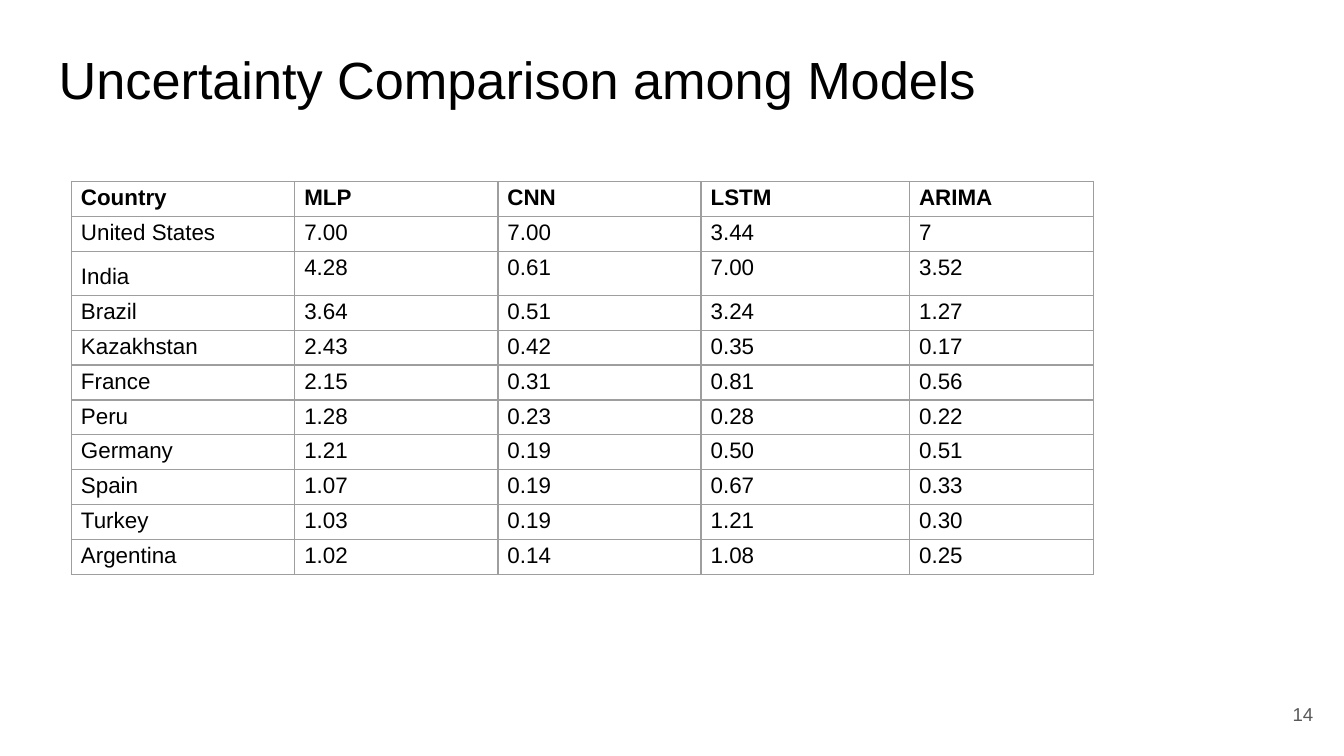
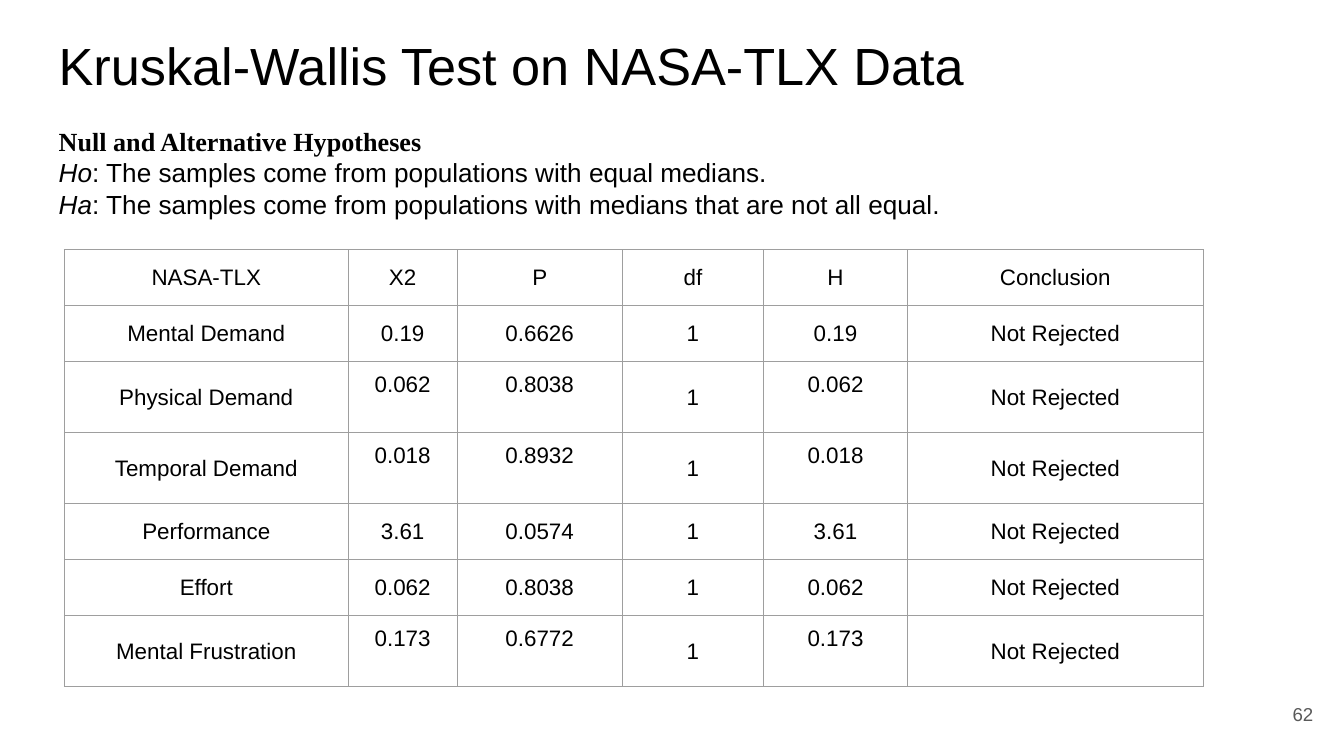
from lxml import etree
from pptx import Presentation
from pptx.dml.color import RGBColor
from pptx.enum.text import MSO_ANCHOR, MSO_AUTO_SIZE, PP_ALIGN
from pptx.oxml.ns import qn
from pptx.util import Cm, Pt

TOP, MIDDLE = MSO_ANCHOR.TOP, MSO_ANCHOR.MIDDLE
LEFT, CENTER, RIGHT = PP_ALIGN.LEFT, PP_ALIGN.CENTER, PP_ALIGN.RIGHT
NO_FIT = MSO_AUTO_SIZE.NONE

BLACK = RGBColor(0x00, 0x00, 0x00)
GREY = RGBColor(0x59, 0x59, 0x59)
BORDER = RGBColor(0x9E, 0x9E, 0x9E)

TITLE = {"name": "Arial", "size": Pt(28), "color": BLACK}
NUMBER = {"name": "Arial", "size": Pt(10), "color": GREY}
BODY = {"name": "Arial", "size": Pt(14), "color": BLACK}
CELL = {"name": "Arial", "size": Pt(12), "color": BLACK}
ITALIC = {**BODY, "italic": True}
HEADING = {**BODY, "name": "Times New Roman", "bold": True}

PADDING = 0.25
TITLE_ONLY = 5

UNCERTAINTY = [
    ["Country", "MLP", "CNN", "LSTM", "ARIMA"],
    ["United States", "7.00", "7.00", "3.44", "7"],
    ["India", "4.28", "0.61", "7.00", "3.52"],
    ["Brazil", "3.64", "0.51", "3.24", "1.27"],
    ["Kazakhstan", "2.43", "0.42", "0.35", "0.17"],
    ["France", "2.15", "0.31", "0.81", "0.56"],
    ["Peru", "1.28", "0.23", "0.28", "0.22"],
    ["Germany", "1.21", "0.19", "0.50", "0.51"],
    ["Spain", "1.07", "0.19", "0.67", "0.33"],
    ["Turkey", "1.03", "0.19", "1.21", "0.30"],
    ["Argentina", "1.02", "0.14", "1.08", "0.25"],
]
TLX_TEST = [
    ["NASA-TLX", "X2", "P", "df", "H", "Conclusion"],
    ["Mental Demand", "0.19", "0.6626", "1", "0.19", "Not Rejected"],
    ["Physical Demand", "0.062", "0.8038", "1", "0.062", "Not Rejected"],
    ["Temporal Demand", "0.018", "0.8932", "1", "0.018", "Not Rejected"],
    ["Performance", "3.61", "0.0574", "1", "3.61", "Not Rejected"],
    ["Effort", "0.062", "0.8038", "1", "0.062", "Not Rejected"],
    ["Mental Frustration", "0.173", "0.6772", "1", "0.173", "Not Rejected"],
]
HYPOTHESES = [
    [("Null and Alternative Hypotheses", HEADING)],
    [("Ho", ITALIC), (": The samples come from populations with equal medians.", BODY)],
    [("Ha", ITALIC),
     (": The samples come from populations with medians that are not all equal.", BODY)],
]


def place(sp, left, top, width, height):
    sp.left, sp.top, sp.width, sp.height = Cm(left), Cm(top), Cm(width), Cm(height)


def add_run(p, text, style):
    r = p.add_run()
    r.text = text
    for key, value in style.items():
        if key == "color":
            r.font.color.rgb = value
        else:
            setattr(r.font, key, value)


def set_frame(tf, anchor, pad_x, pad_y):
    frame = {"word_wrap": True, "auto_size": NO_FIT, "vertical_anchor": anchor,
             "margin_left": Cm(pad_x), "margin_right": Cm(pad_x),
             "margin_top": Cm(pad_y), "margin_bottom": Cm(pad_y)}
    for key, value in frame.items():
        setattr(tf, key, value)


def add_text(s, box, paragraphs, anchor=TOP, align=LEFT, pad_y=PADDING):
    """Add a text box; each paragraph is a list of (text, style) runs."""
    sp = s.shapes.add_textbox(*map(Cm, box))
    tf = sp.text_frame
    set_frame(tf, anchor, PADDING, pad_y)
    for i, runs in enumerate(paragraphs):
        p = tf.add_paragraph() if i else tf.paragraphs[0]
        p.alignment = align
        for text, style in runs:
            add_run(p, text, style)


def add_slide(prs, title, title_top, number):
    s = prs.slides.add_slide(prs.slide_layouts[TITLE_ONLY])
    sp = s.shapes.title
    place(sp, 0.86, title_top, 23.67, 1.6)
    set_frame(sp.text_frame, TOP, PADDING, PADDING)
    p = sp.text_frame.paragraphs[0]
    p.alignment = LEFT
    add_run(p, title, TITLE)
    add_text(s, (23.55, 12.95, 1.52, 1.09), [[(number, NUMBER)]], MIDDLE, RIGHT)
    return s


def set_borders(cell):
    tcPr = cell._tc.get_or_add_tcPr()
    for side in ("a:lnL", "a:lnR", "a:lnT", "a:lnB"):
        ln = etree.SubElement(tcPr, qn(side), w=str(Pt(0.75)))
        fill = etree.SubElement(ln, qn("a:solidFill"))
        etree.SubElement(fill, qn("a:srgbClr"), val=str(BORDER))


def add_table(s, left, top, widths, heights, rows, anchor=TOP, align=LEFT,
              spacing=1.0, bold_header=False):
    frame = s.shapes.add_table(len(rows), len(widths), Cm(left), Cm(top),
                               Cm(sum(widths)), Cm(sum(heights)))
    table = frame.table
    table.first_row = table.horz_banding = False
    for col, width in zip(table.columns, widths):
        col.width = Cm(width)
    for i, (row, height) in enumerate(zip(rows, heights)):
        table.rows[i].height = Cm(height)
        for j, text in enumerate(row):
            cell = table.cell(i, j)
            cell.margin_left = cell.margin_right = Cm(0.18)
            cell.margin_top = cell.margin_bottom = 0
            cell.vertical_anchor = anchor
            set_borders(cell)
            cell.fill.background()
            p = cell.text_frame.paragraphs[0]
            p.alignment = align
            p.line_spacing = spacing
            add_run(p, text, {**CELL, "bold": bold_header and i == 0})
    return table


def add_uncertainty_slide(prs):
    s = add_slide(prs, "Uncertainty Comparison among Models", 0.64, "14")
    india = 2
    heights = [0.83 if i == india else 0.66 for i in range(len(UNCERTAINTY))]
    table = add_table(s, 1.35, 3.43, [4.22, 3.84, 3.84, 3.94, 3.48], heights,
                      UNCERTAINTY, spacing=1.15, bold_header=True)
    table.cell(india, 0).text_frame.paragraphs[0].line_spacing = 1.5


def add_tlx_slide(prs):
    s = add_slide(prs, "Kruskal-Wallis Test on NASA-TLX Data", 0.38, "62")
    add_text(s, (0.86, 2.24, 18.87, 2.06), HYPOTHESES, pad_y=0.13)
    tall_rows, raised_cols = (2, 3, 6), (1, 2, 4)
    heights = [1.34 if i in tall_rows else 1.06 for i in range(len(TLX_TEST))]
    table = add_table(s, 1.22, 4.72, [5.36, 2.06, 3.12, 2.67, 2.72, 5.59], heights,
                      TLX_TEST, MIDDLE, CENTER)
    for i in tall_rows:
        for j in raised_cols:
            table.cell(i, j).margin_bottom = Cm(0.49)


def main():
    prs = Presentation()
    prs.slide_width, prs.slide_height = Cm(25.4), Cm(14.29)
    add_uncertainty_slide(prs)
    add_tlx_slide(prs)
    prs.save("out.pptx")


if __name__ == "__main__":
    main()
